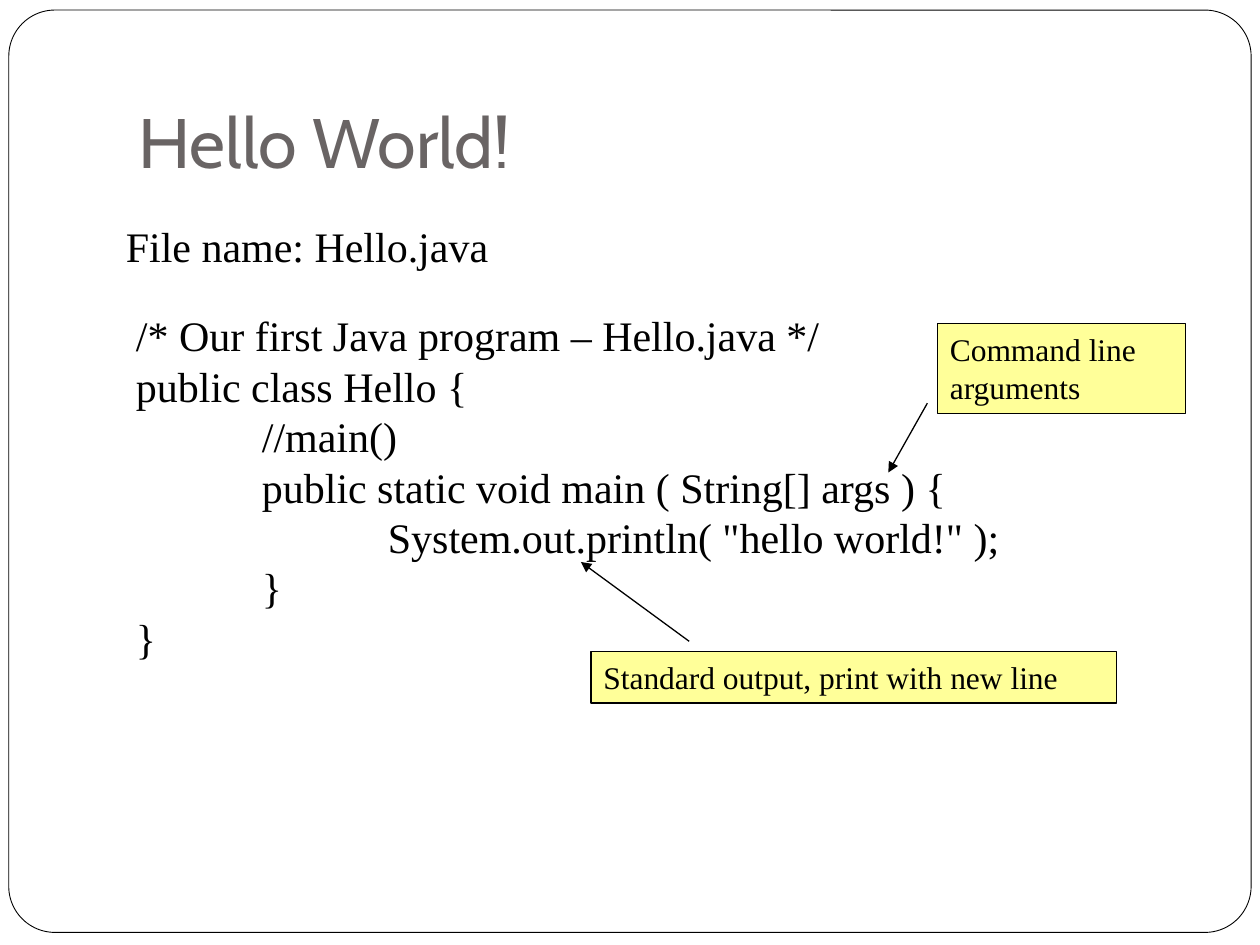
from lxml.etree import SubElement
from pptx import Presentation
from pptx.dml.color import RGBColor
from pptx.enum.shapes import MSO_CONNECTOR, MSO_SHAPE
from pptx.enum.text import MSO_ANCHOR, MSO_AUTO_SIZE, PP_ALIGN
from pptx.oxml.ns import qn
from pptx.util import Inches, Pt

WIDE, HIGH = Inches(10), Inches(7.5)
COL, ROW = WIDE / 10, HIGH / 7.5
SERIF = "Times New Roman"
CODE = """/* Our first Java program – Hello.java */
public class Hello {
\t//main()
\tpublic static void main ( String[] args ) {
\t\tSystem.out.println( "hello world!" );
\t}
}"""


def tint(code):
    """Turn a hex string into a colour."""
    return RGBColor.from_string(code)


def grid(*nums):
    """Turn alternating columns and rows into slide lengths."""
    return [int(num * (ROW if i % 2 else COL)) for i, num in enumerate(nums)]


def write(frame, text, size, face=SERIF, color="000000"):
    """Fill a text frame with left-aligned text in one style and one-column tabs."""
    frame.word_wrap = True
    frame.auto_size = MSO_AUTO_SIZE.NONE
    frame.text = text
    for para in frame.paragraphs:
        para.alignment = PP_ALIGN.LEFT
        para._p.get_or_add_pPr().set("defTabSz", str(int(COL)))
        for run in para.runs:
            run.font.size, run.font.name = Pt(size), face
            run.font.color.rgb = tint(color)


def panel(slide, kind, box, fill, weight):
    """Draw a filled shape with a thin black outline."""
    shape = slide.shapes.add_shape(kind, *grid(*box))
    shape.shadow.inherit = False
    shape.fill.solid()
    shape.fill.fore_color.rgb = tint(fill)
    shape.line.color.rgb = tint("000000")
    shape.line.width = Pt(weight)
    return shape


def border(slide, box):
    """Put the rounded page border behind everything else."""
    shape = panel(slide, MSO_SHAPE.ROUNDED_RECTANGLE, box, "FFFFFF", 0.5)
    shape.adjustments[0] = 0.05
    slide.shapes.element.insert(2, shape.element)


def heading(slide, box, text):
    """Place and style the title."""
    title = slide.shapes.title
    title.left, title.top, title.width, title.height = grid(*box)
    frame = title.text_frame
    frame.vertical_anchor = MSO_ANCHOR.BOTTOM
    frame.margin_bottom = Inches(0.1)
    write(frame, text, 40, "Cabin", "696464")


def passage(slide, box, text):
    """Place plain text in a box."""
    write(slide.shapes.add_textbox(*grid(*box)).text_frame, text, 24)


def callout(slide, box, text, start, end):
    """Place a yellow note and its arrow."""
    note = panel(slide, MSO_SHAPE.RECTANGLE, box, "FFFF99", 0.75)
    note.text_frame.vertical_anchor = MSO_ANCHOR.TOP
    write(note.text_frame, text, 18)
    arrow = slide.shapes.add_connector(MSO_CONNECTOR.STRAIGHT, *grid(*start, *end))
    arrow.line.color.rgb = tint("000000")
    arrow.line.width = Pt(0.75)
    props = arrow.element.spPr
    SubElement(props.find(qn("a:ln")), qn("a:tailEnd"), type="triangle")
    SubElement(props, qn("a:effectLst"))


def main():
    """Build and save the slide."""
    deck = Presentation()
    deck.slide_width, deck.slide_height = WIDE, HIGH
    slide = deck.slides.add_slide(deck.slide_layouts[5])
    border(slide, (0.07, 0.08, 9.86, 7.32))
    heading(slide, (1, 0.3, 8.5, 1.25), "Hello World!")
    passage(slide, (0.98, 2.41, 8.11, 2.9), CODE)
    passage(slide, (0.9, 1.7, 4.25, 0.5), "File name: Hello.java")
    callout(slide, (7.44, 2.57, 1.97, 0.71), "Command line arguments",
            (7.36, 3.2), (7.05, 3.75))
    callout(slide, (4.69, 5.17, 4.17, 0.41), "Standard output, print with new line",
            (5.47, 5.09), (4.61, 4.46))
    deck.save("out.pptx")


if __name__ == "__main__":
    main()
